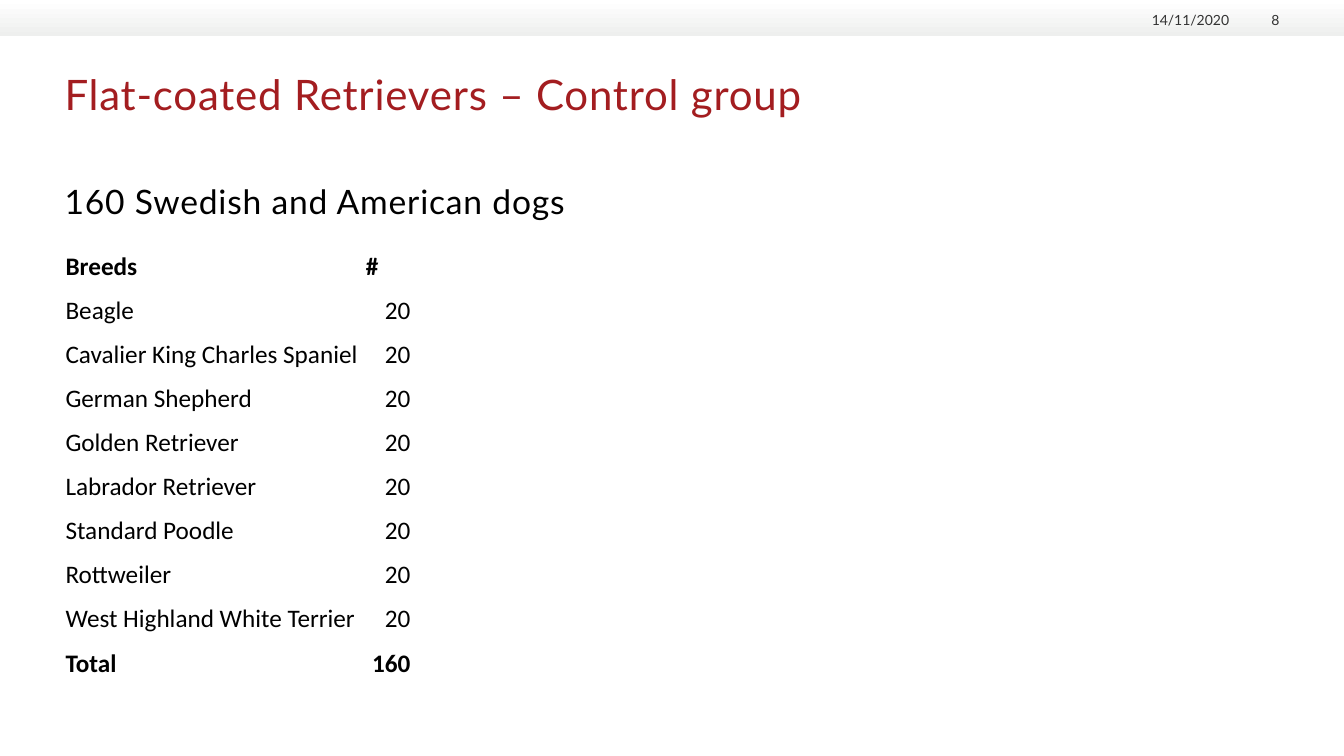
from dataclasses import dataclass

from pptx import Presentation
from pptx.dml.color import RGBColor
from pptx.enum import shapes, text
from pptx.util import Inches, Pt


@dataclass(frozen=True)
class Theme:
    white: RGBColor = RGBColor(0xFF, 0xFF, 0xFF)
    band_grey: RGBColor = RGBColor(0xEE, 0xEF, 0xEE)
    red: RGBColor = RGBColor(0xA3, 0x1D, 0x20)
    black: RGBColor = RGBColor(0, 0, 0)
    grey: RGBColor = RGBColor(0x33, 0x33, 0x33)
    heading_font: str = "Lato"
    table_font: str = "Calibri"
    title_size: int = 30
    subtitle_size: int = 24
    table_size: int = 18
    header_size: int = 10


THEME = Theme()
LEFT, CONTENT_WIDTH = 0.64, 12.04
BREEDS = [
    "Beagle", "Cavalier King Charles Spaniel", "German Shepherd",
    "Golden Retriever", "Labrador Retriever", "Standard Poodle",
    "Rottweiler", "West Highland White Terrier",
]
DOGS_PER_BREED = 20


def write(paragraph, words, font, size, color, bold=False, spacing=0,
          align=text.PP_ALIGN.LEFT):
    """Add one formatted run; spacing is between letters, in points."""
    paragraph.alignment = align
    run = paragraph.add_run()
    run.text = words
    run.font.name = font
    run.font.size = Pt(size)
    run.font.color.rgb = color
    run.font.bold = bold
    if spacing:
        run.font._element.set("spc", str(round(spacing * 100)))


def prepare_frame(frame, anchor):
    frame.word_wrap = True
    frame.auto_size = text.MSO_AUTO_SIZE.NONE
    frame.vertical_anchor = anchor
    frame.margin_left = frame.margin_right = 0
    frame.margin_top = frame.margin_bottom = 0
    return frame.paragraphs[0]


def add_header(slide, left, top, width, height):
    # Shaded band
    band = slide.shapes.add_shape(
        shapes.MSO_SHAPE.RECTANGLE,
        Inches(left), Inches(top), Inches(width), Inches(height))
    band.shadow.inherit = False
    band.line.fill.background()
    band.fill.gradient()
    band.fill.gradient_angle = 270
    for stop, color in zip(band.fill.gradient_stops, (THEME.white, THEME.band_grey)):
        stop.color.rgb = color

    # Date and page number, set in from the right edge
    right = left + width
    for words, inset, label_width in (("14/11/2020", 2.03, 0.89), ("8", 1.06, 0.42)):
        label = slide.shapes.add_textbox(
            Inches(right - inset), Inches(top + 0.09),
            Inches(label_width), Inches(0.19))
        paragraph = prepare_frame(label.text_frame, text.MSO_ANCHOR.BOTTOM)
        write(paragraph, words, THEME.heading_font, THEME.header_size, THEME.grey,
              align=text.PP_ALIGN.RIGHT)


def add_title(slide, left, top, width, height):
    title = slide.shapes.title
    title.left, title.top = Inches(left), Inches(top)
    title.width, title.height = Inches(width), Inches(height)
    paragraph = prepare_frame(title.text_frame, text.MSO_ANCHOR.TOP)
    write(paragraph, "Flat-coated Retrievers – Control group",
          THEME.heading_font, THEME.title_size, THEME.red, spacing=0.6)


def add_subtitle(slide, left, top, width, height):
    subtitle = slide.shapes.add_textbox(
        Inches(left), Inches(top), Inches(width), Inches(height))
    paragraph = prepare_frame(subtitle.text_frame, text.MSO_ANCHOR.TOP)
    write(paragraph, "160 Swedish and American dogs",
          THEME.heading_font, THEME.subtitle_size, THEME.black, spacing=0.6)


def add_breed_table(slide, left, top, column_widths, row_height):
    total = DOGS_PER_BREED * len(BREEDS)
    rows = [("Breeds", "#"),
            *((breed, str(DOGS_PER_BREED)) for breed in BREEDS),
            ("Total", str(total))]
    breeds = slide.shapes.add_table(
        len(rows), len(column_widths), Inches(left), Inches(top),
        Inches(sum(column_widths)), Inches(row_height * len(rows))).table
    breeds.first_row = breeds.horz_banding = False
    for column, width in zip(breeds.columns, column_widths):
        column.width = Inches(width)

    for row_index, row in enumerate(rows):
        # Rows grow to fit their line of text
        breeds.rows[row_index].height = Inches(row_height)
        for column_index, words in enumerate(row):
            cell = breeds.cell(row_index, column_index)
            cell.fill.background()
            cell.vertical_anchor = text.MSO_ANCHOR.BOTTOM
            cell.margin_left = cell.margin_right = cell.margin_top = Inches(0.01)
            cell.margin_bottom = 0
            is_count = column_index == 1 and row_index > 0
            paragraph = cell.text_frame.paragraphs[0]
            paragraph.line_spacing = 1.4
            write(paragraph, words, THEME.table_font, THEME.table_size, THEME.black,
                  bold=row_index in (0, len(rows) - 1),
                  align=text.PP_ALIGN.RIGHT if is_count else text.PP_ALIGN.LEFT)


def main():
    deck = Presentation()
    deck.slide_width, deck.slide_height = Inches(13.33), Inches(7.5)
    slide = deck.slides.add_slide(deck.slide_layouts.get_by_name("Title Only"))
    slide.background.fill.solid()
    slide.background.fill.fore_color.rgb = THEME.white

    add_header(slide, 0, 0, 13.33, 0.36)
    add_title(slide, LEFT, 0.68, CONTENT_WIDTH, 0.95)
    add_subtitle(slide, LEFT, 1.79, 5.22, 5.11)
    add_breed_table(slide, LEFT, 2.36, (2.98, 0.46), 0.22)
    deck.save("out.pptx")


if __name__ == "__main__":
    main()
